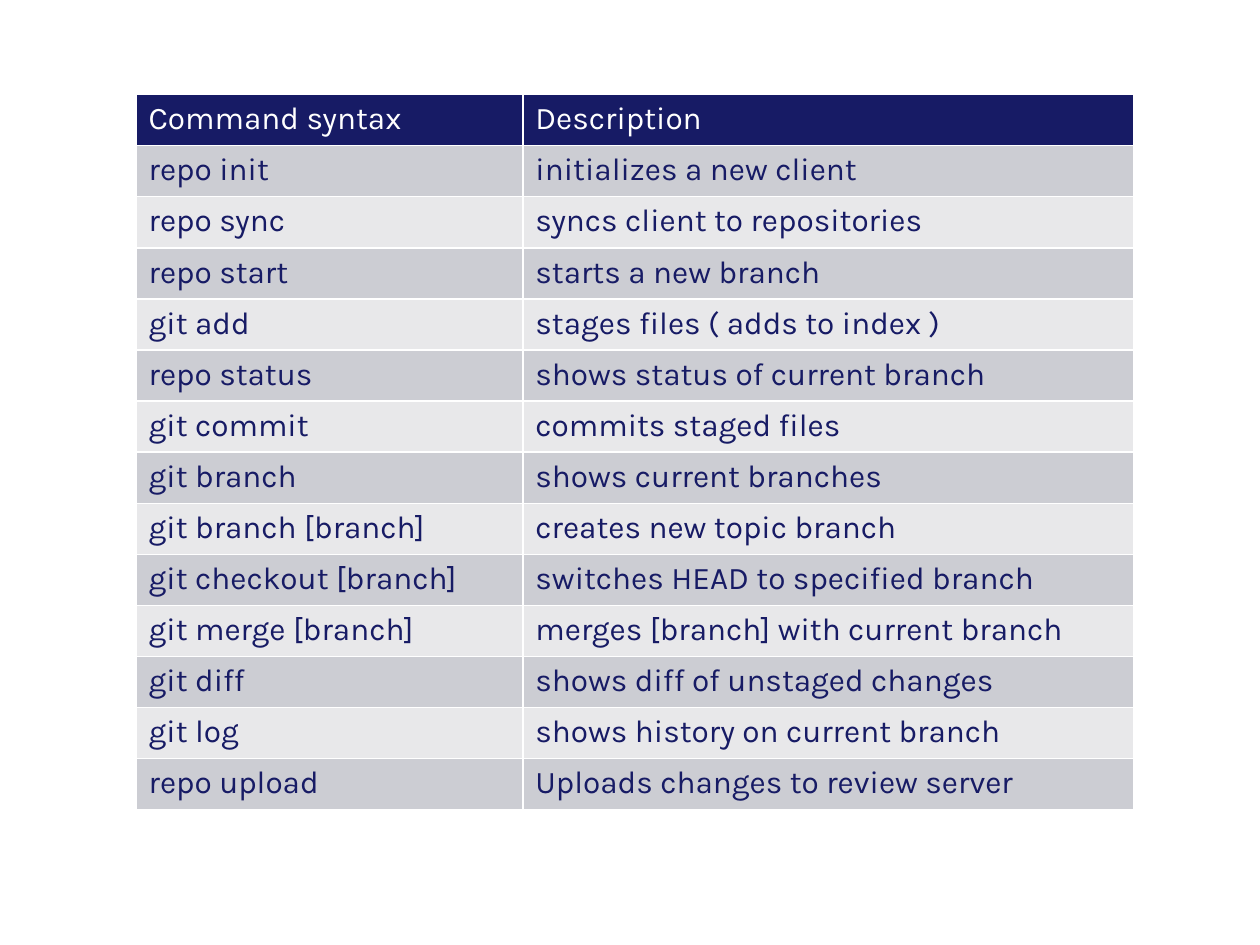
from lxml import etree
from pptx import Presentation
from pptx import util as u
from pptx.dml.color import RGBColor
from pptx.oxml import ns

NAVY = RGBColor(0x17, 0x1B, 0x65)
WHITE = RGBColor(0xFF, 0xFF, 0xFF)
DARK_BAND = RGBColor(0xCC, 0xCD, 0xD3)
LIGHT_BAND = RGBColor(0xE8, 0xE8, 0xEA)

SLIDE_WIDTH, SLIDE_HEIGHT = u.Inches(10), u.Inches(7.5)
LEFT, TOP = 0.108, 0.1  # shares of the slide's size
COLUMN_SHARES = (0.307, 0.485)
ROW_SHARE = 0.0541

HEADER = ("Command syntax", "Description")
COMMANDS = [
    ("repo init", "initializes a new client"),
    ("repo sync", "syncs client to repositories"),
    ("repo start", "starts a new branch"),
    ("git add", "stages files ( adds to index )"),
    ("repo status", "shows status of current branch"),
    ("git commit", "commits staged files"),
    ("git branch", "shows current branches"),
    ("git branch [branch]", "creates new topic branch"),
    ("git checkout [branch]", "switches HEAD to specified branch"),
    ("git merge [branch]", "merges [branch] with current branch"),
    ("git diff", "shows diff of unstaged changes"),
    ("git log", "shows history on current branch"),
    ("repo upload", "Uploads changes to review server"),
]


def across(share):
    return round(SLIDE_WIDTH * share)


def down(share):
    return round(SLIDE_HEIGHT * share)


def write(frame, content, *, color, size=18, font="Karla", bold=False):
    span = frame.paragraphs[0].add_run()
    span.text = content
    span.font.name = font
    span.font.size = u.Pt(size)
    span.font.bold = bold
    span.font.color.rgb = color


def set_borders(cell, color, width=1):
    """Line all four sides; the lines must come before the cell's fill."""
    properties = cell._tc.get_or_add_tcPr()
    for index, side in enumerate(("lnL", "lnR", "lnT", "lnB")):
        line = etree.Element(ns.qn(f"a:{side}"), w=str(u.Pt(width)))
        fill = etree.SubElement(line, ns.qn("a:solidFill"))
        etree.SubElement(fill, ns.qn("a:srgbClr"), val=str(color))
        properties.insert(index, line)


def fill_row(row, texts, *, background, color):
    row.height = down(ROW_SHARE)
    for cell, content in zip(row.cells, texts):
        cell.fill.solid()
        cell.fill.fore_color.rgb = background
        set_borders(cell, WHITE)
        write(cell.text_frame, content, color=color)


def add_command_table(page):
    row_count = len(COMMANDS) + 1
    table = page.shapes.add_table(
        row_count, len(HEADER), across(LEFT), down(TOP),
        across(sum(COLUMN_SHARES)), down(ROW_SHARE * row_count),
    ).table
    for column, share in zip(table.columns, COLUMN_SHARES):
        column.width = across(share)

    header_row, *command_rows = table.rows
    fill_row(header_row, HEADER, background=NAVY, color=WHITE)
    for index, (row, command) in enumerate(zip(command_rows, COMMANDS)):
        band = LIGHT_BAND if index % 2 else DARK_BAND
        fill_row(row, command, background=band, color=NAVY)


def main():
    deck = Presentation()
    deck.slide_width, deck.slide_height = SLIDE_WIDTH, SLIDE_HEIGHT
    page = deck.slides.add_slide(deck.slide_layouts[6])
    add_command_table(page)
    deck.save("out.pptx")


if __name__ == "__main__":
    main()
